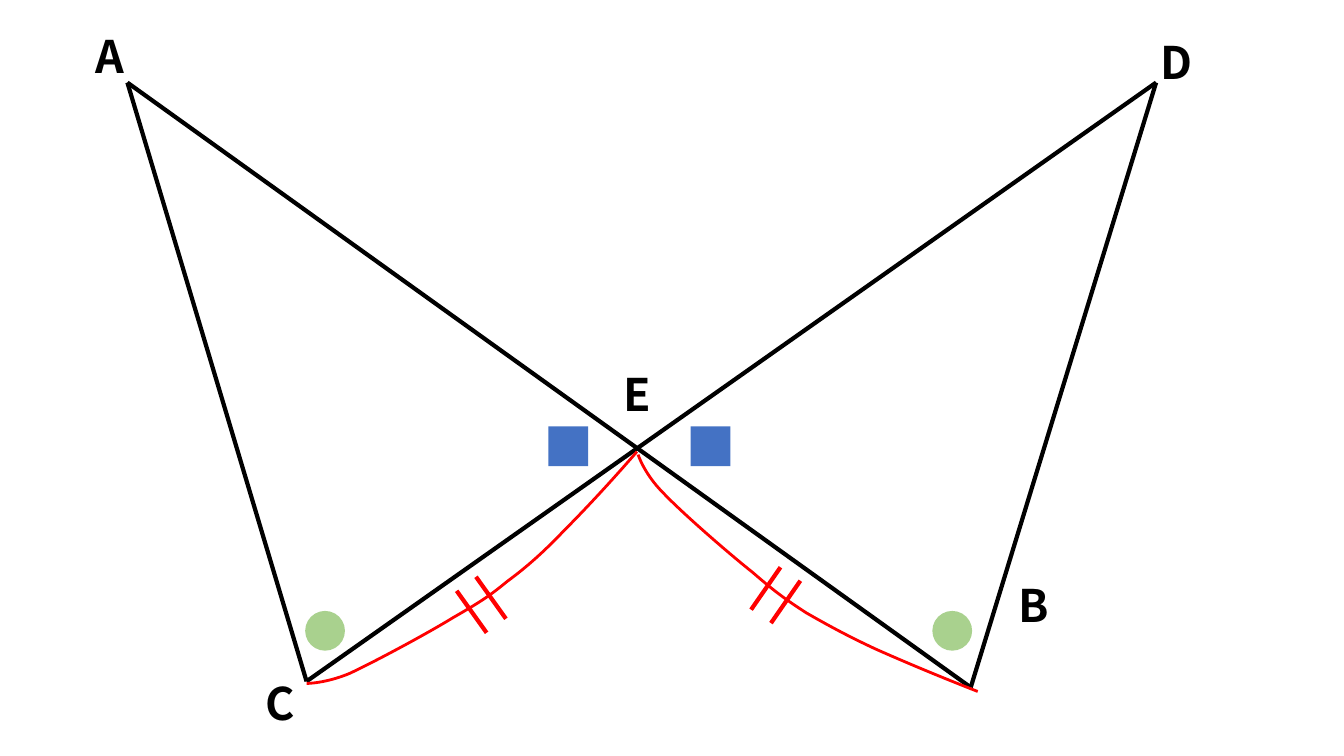
from dataclasses import dataclass

from lxml import etree
from pptx import Presentation
from pptx.dml.color import RGBColor
from pptx.enum import shapes, text
from pptx.oxml import ns
from pptx.util import Pt


@dataclass(frozen=True)
class Theme:
    font: str = "Noto Sans CJK JP"
    label_size: float = 32
    ink: str = "000000"
    square: str = "4472C4"
    circle: str = "A9D18E"
    equal_mark: str = "FF0000"
    edge_width: float = 3
    curve_width: float = 2
    marker_size: float = 28.4


THEME = Theme()

A, B, C, D = (91, 59), (693.4, 491), (219, 486.7), (825.8, 59)
EDGES = [(A, C), (D, C), (B, A), (D, B)]

# letter: left, top, width
LABELS = {
    "A": (61.2, 16.6, 49.7),
    "D": (821.5, 20.9, 63.4),
    "C": (182.2, 478.8, 42.5),
    "B": (720.7, 409, 63.4),
    "E": (438.5, 258.5, 63.4),
}

# Bézier points: a start, then two controls and an end for each segment
CURVE_CE = [
    (455, 322.6), (437, 343.4), (418.3, 363.6), (403.2, 378.7),
    (388.1, 394.6), (375.8, 405.4), (362.2, 415.4),
    (349.2, 426.2), (342, 430.6), (323.3, 441.4),
    (304.6, 452.9), (267.1, 473), (249.8, 481),
    (232.6, 488.2), (219, 488.2), (219, 488.2),
]
CURVE_BE = [
    (698.4, 493.9), (672.5, 483.8), (646.6, 473), (625.7, 463.7),
    (605.5, 454.3), (591.1, 446.4), (576, 437.8),
    (561.6, 428.4), (554.4, 423.4), (537.8, 409),
    (520.6, 395.3), (487.4, 366.5), (473.8, 352.1),
    (460.1, 338.4), (455.8, 324.7), (455.8, 324.7),
]


def rgb(color):
    return RGBColor.from_string(color)


def add_line(container, start, end, color):
    line = container.add_connector(
        shapes.MSO_CONNECTOR.STRAIGHT, *map(Pt, start + end))
    line.line.color.rgb = rgb(color)
    line.line.width = Pt(THEME.edge_width)
    etree.SubElement(line._element.spPr, ns.qn("a:effectLst"))


def add_label(slide, letter, left, top, width):
    box = slide.shapes.add_textbox(Pt(left), Pt(top), Pt(width), Pt(46))
    frame = box.text_frame
    frame.word_wrap = True
    frame.auto_size = text.MSO_AUTO_SIZE.SHAPE_TO_FIT_TEXT
    paragraph = frame.paragraphs[0]
    paragraph.text = letter
    paragraph.font.name = THEME.font
    paragraph.font.size = Pt(THEME.label_size)
    paragraph.font.bold = True
    paragraph.font.color.rgb = rgb(THEME.ink)


def add_angle_marker(slide, kind, left, top, color):
    size = Pt(THEME.marker_size)
    marker = slide.shapes.add_shape(kind, Pt(left), Pt(top), size, size)
    marker.shadow.inherit = False
    marker.fill.solid()
    marker.fill.fore_color.rgb = rgb(color)
    marker.line.fill.background()


def add_curve(container, points):
    """Draw straight segments through all points, then join each three into a Bézier."""
    points = [(Pt(x), Pt(y)) for x, y in points]
    builder = container.build_freeform(*points[0])
    builder.add_line_segments(points[1:], close=False)
    curve = builder.convert_to_shape()
    segments = list(curve._element.iter(ns.qn("a:lnTo")))
    for first in range(0, len(segments), 3):
        bezier = etree.Element(ns.qn("a:cubicBezTo"))
        segments[first].addprevious(bezier)
        for segment in segments[first:first + 3]:
            bezier.append(segment[0])
            segment.getparent().remove(segment)
    curve.shadow.inherit = False
    curve.fill.background()
    curve.line.color.rgb = rgb(THEME.equal_mark)
    curve.line.width = Pt(THEME.curve_width)


def add_equal_mark(slide, points, tick, stroke, step):
    """Group a curve with two parallel ticks, the second moved by step."""
    group = slide.shapes.add_group_shape().shapes
    for count in range(2):
        x, y = tick[0] + count * step[0], tick[1] + count * step[1]
        add_line(group, (x, y), (x + stroke[0], y + stroke[1]), THEME.equal_mark)
    add_curve(group, points)


def main():
    presentation = Presentation()
    presentation.slide_width, presentation.slide_height = Pt(960), Pt(540)
    slide = presentation.slides.add_slide(presentation.slide_layouts[6])

    for start, end in EDGES:
        add_line(slide.shapes, start, end, THEME.ink)
    for letter, place in LABELS.items():
        add_label(slide, letter, *place)
    for left in (391.7, 493.4):
        add_angle_marker(slide, shapes.MSO_SHAPE.RECTANGLE, left, 304.6, THEME.square)
    for left in (218, 666):
        add_angle_marker(slide, shapes.MSO_SHAPE.OVAL, left, 436.4, THEME.circle)

    add_equal_mark(slide, CURVE_CE, (340, 412), (21.4, 30), (-13.8, 10))
    add_equal_mark(slide, CURVE_BE, (571.7, 414.8), (-21, 30.3), (-14.2, -9.6))

    presentation.save("out.pptx")


if __name__ == "__main__":
    main()
